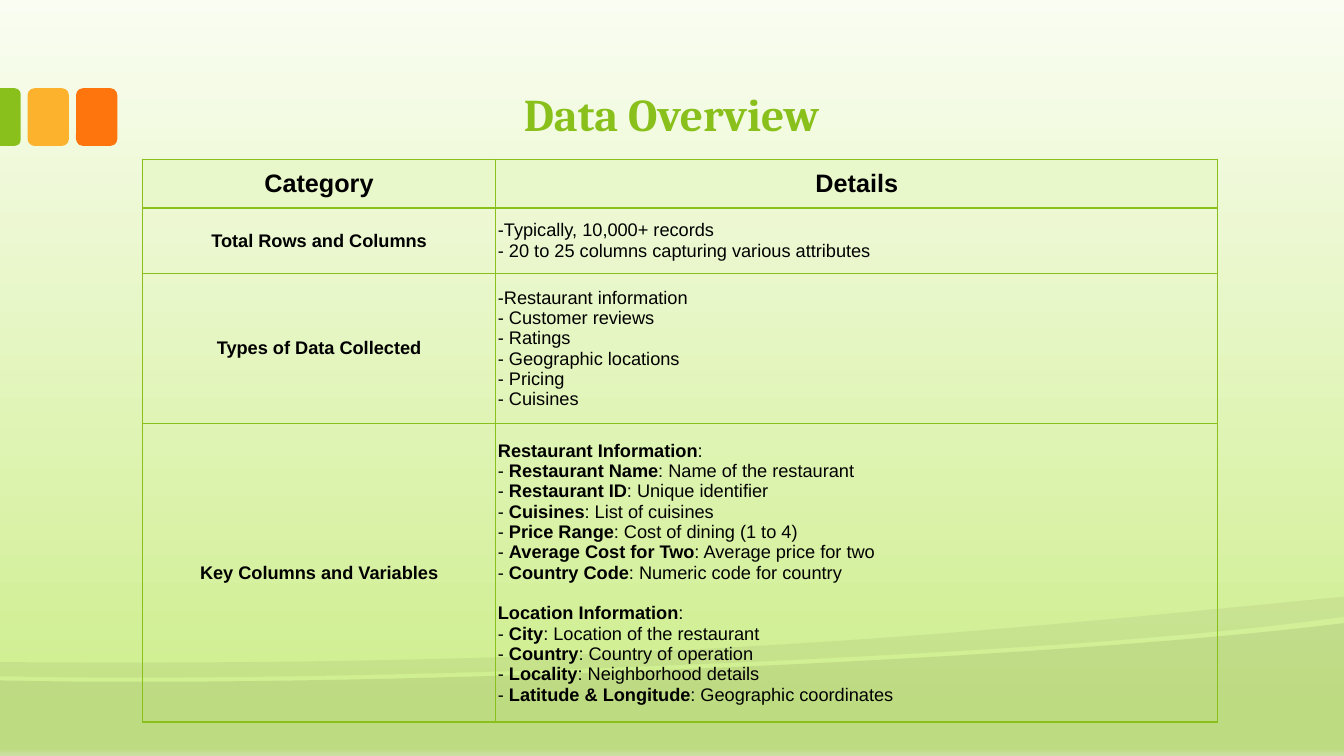
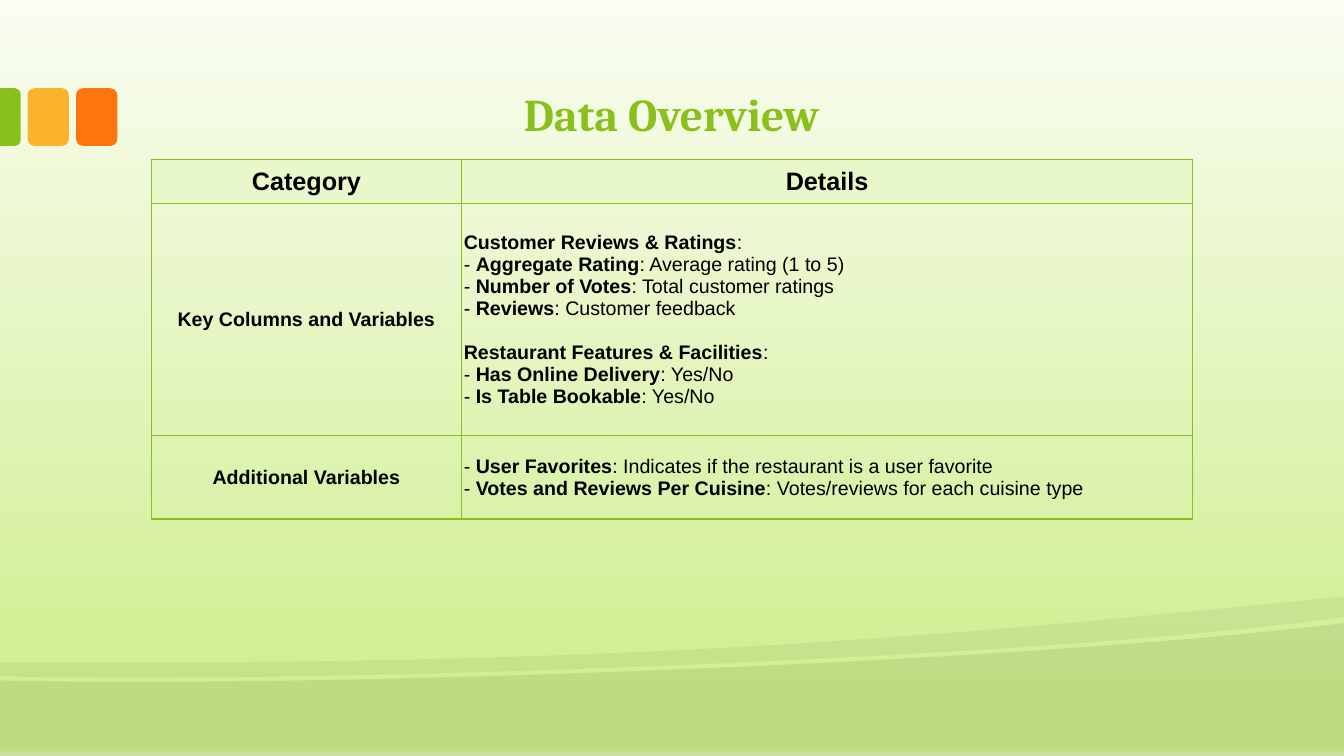
from copy import deepcopy
from dataclasses import dataclass

from lxml import etree
from pptx import Presentation
from pptx.dml.color import RGBColor
from pptx.enum.shapes import MSO_SHAPE
from pptx.enum.text import MSO_ANCHOR, PP_ALIGN
from pptx.oxml.ns import qn
from pptx.util import Pt

ROUND_RECT = MSO_SHAPE.ROUNDED_RECTANGLE
ROUND_TOP = MSO_SHAPE.ROUND_2_SAME_RECTANGLE
MIDDLE = MSO_ANCHOR.MIDDLE
LEFT, CENTER = PP_ALIGN.LEFT, PP_ALIGN.CENTER


@dataclass(frozen=True)
class Theme:
    green: str = "89C01C"
    amber: str = "FCB22C"
    orange: str = "FE750E"
    black: str = "000000"
    header_fill: str = "E9F8CA"
    sky: tuple = ((0, "FAFDF2"), (94, "CEEE8D"), (99, "CEEE8D"), (100, "DEF4B3"))
    title_font: str = "Cambria"
    body_font: str = "Arial"
    title_size: float = 32.4
    header_size: float = 18
    border: float = 1


THEME = Theme()
WIDTH, HEIGHT = 960, 540
TITLE = "Data Overview"
HEADER = ("Category", ["Details"])
TABLE_TOP = 113.8

# Text between asterisks is bold; a line that opens in bold starts a group.
TABLES = [
    {
        "left": 101.5, "columns": (252.7, 515.6), "size": 13,
        "heights": (34.8, 46.8, 107.3, 213),
        "rows": [
            ("Total Rows and Columns", [
                "-Typically, 10,000+ records",
                "- 20 to 25 columns capturing various attributes",
            ]),
            ("Types of Data Collected", [
                "-Restaurant information",
                "- Customer reviews",
                "- Ratings",
                "- Geographic locations",
                "- Pricing",
                "- Cuisines",
            ]),
            ("Key Columns and Variables", [
                "*Restaurant Information*:",
                "- *Restaurant Name*: Name of the restaurant",
                "- *Restaurant ID*: Unique identifier",
                "- *Cuisines*: List of cuisines",
                "- *Price Range*: Cost of dining (1 to 4)",
                "- *Average Cost for Two*: Average price for two",
                "- *Country Code*: Numeric code for country",
                "*Location Information*:",
                "- *City*: Location of the restaurant",
                "- *Country*: Country of operation",
                "- *Locality*: Neighborhood details",
                "- *Latitude & Longitude*: Geographic coordinates",
            ]),
        ],
    },
    {
        "left": 108, "columns": (221.8, 522), "size": 14,
        "heights": (31.6, 165.6, 59.8),
        "rows": [
            ("Key Columns and Variables", [
                "*Customer Reviews & Ratings*:",
                "- *Aggregate Rating*: Average rating (1 to 5)",
                "- *Number of Votes*: Total customer ratings",
                "- *Reviews*: Customer feedback",
                "*Restaurant Features & Facilities*:",
                "- *Has Online Delivery*: Yes/No",
                "- *Is Table Bookable*: Yes/No",
            ]),
            ("Additional Variables", [
                "- *User Favorites*: Indicates if the restaurant is a user favorite",
                "- *Votes and Reviews Per Cuisine*: Votes/reviews for each cuisine type",
            ]),
        ],
    },
]

# Outlines: one point draws a line, three points draw a Bezier curve.
HILL = [
    [(0, HEIGHT)], [(0, 486)],
    [(253.4, 491.8), (750.2, 471.6), (WIDTH, 445)],
    [(WIDTH, HEIGHT)],
]
RIDGE = [
    [(WIDTH, 426.2)], [(WIDTH, 440.6)],
    [(903.6, 448.6), (827.3, 455.8), (740.9, 461.5)],
    [(502.6, 477.4), (185.8, 487.4), (0, 483.1)],
    [(0, 473)],
    [(469.4, 476.6), (699.1, 451.4), (WIDTH, 426.2)],
]
WAVES = [(HILL, 8), (RIDGE, 5)]
CURVE_STEPS = 30

TAB_TOP, TAB_WIDTH, TAB_HEIGHT = 63, 29.5, 41.2
TAB_LEFT, TAB_PITCH, EDGE_WIDTH = 19.7, 34.6, 14.8


def rgb(color):
    return RGBColor.from_string(color)


def paint(shape, color):
    shape.shadow.inherit = False
    shape.fill.solid()
    shape.fill.fore_color.rgb = rgb(color)
    shape.line.fill.background()


def style_run(run, **formats):
    run.font.color.rgb = rgb(formats.pop("color"))
    for name, value in formats.items():
        setattr(run.font, name, value)


def set_background(master):
    fill = master.background.fill
    fill.gradient()
    fill.gradient_angle = 270
    stops = next(master.element.iter(qn("a:gsLst")))
    pattern = deepcopy(stops[0])
    for stop in list(stops):
        stops.remove(stop)
    for percent, color in THEME.sky:
        stop = deepcopy(pattern)
        stop.set("pos", str(percent * 1000))
        for old in list(stop):
            stop.remove(old)
        etree.SubElement(stop, qn("a:srgbClr"), val=color)
        stops.append(stop)


def trace(outline):
    """Turn an outline into plain points, sampling its curves."""
    points = []
    for segment in outline:
        if len(segment) == 1:
            points += segment
            continue
        controls = [points[-1], *segment]
        for step in range(1, CURVE_STEPS + 1):
            t = step / CURVE_STEPS
            weights = ((1 - t) ** 3, 3 * t * (1 - t) ** 2, 3 * t * t * (1 - t), t ** 3)
            points.append(tuple(
                sum(w * c[axis] for w, c in zip(weights, controls)) for axis in (0, 1)))
    return [(Pt(x), Pt(y)) for x, y in points]


def add_waves(slide):
    for outline, opacity in WAVES:
        first, *others = trace(outline)
        builder = slide.shapes.build_freeform(*first)
        builder.add_line_segments(others, close=True)
        wave = builder.convert_to_shape()
        paint(wave, THEME.black)
        color = next(wave.element.spPr.iter(qn("a:srgbClr")))
        etree.SubElement(color, qn("a:alpha"), val=str(opacity * 1000))


def add_tabs(slide):
    for index, color in enumerate((THEME.amber, THEME.orange)):
        tab = slide.shapes.add_shape(
            ROUND_RECT, Pt(TAB_LEFT + index * TAB_PITCH), Pt(TAB_TOP),
            Pt(TAB_WIDTH), Pt(TAB_HEIGHT))
        paint(tab, color)
    # Turned a quarter, so width and height swap around the same centre.
    shift = (TAB_HEIGHT - EDGE_WIDTH) / 2
    edge_tab = slide.shapes.add_shape(
        ROUND_TOP, Pt(-shift), Pt(TAB_TOP + shift), Pt(TAB_HEIGHT), Pt(EDGE_WIDTH))
    edge_tab.rotation = 90
    edge_tab.adjustments[0] = 0.29
    paint(edge_tab, THEME.green)


def add_title(slide):
    frame = slide.shapes.add_textbox(Pt(96), Pt(59.8), Pt(767.5), Pt(41.8)).text_frame
    frame.word_wrap = True
    frame.vertical_anchor = MIDDLE
    paragraph = frame.paragraphs[0]
    paragraph.alignment = CENTER
    run = paragraph.add_run()
    run.text = TITLE
    style_run(run, name=THEME.title_font, size=Pt(THEME.title_size), bold=True,
              color=THEME.green)


def add_borders(cell):
    properties = cell._tc.get_or_add_tcPr()
    for side in ("lnL", "lnR", "lnT", "lnB"):
        line = etree.SubElement(properties, qn(f"a:{side}"), w=str(Pt(THEME.border)))
        fill = etree.SubElement(line, qn("a:solidFill"))
        etree.SubElement(fill, qn("a:srgbClr"), val=THEME.green)


def fill_cell(cell, lines, size, alignment, color=None):
    add_borders(cell)
    if color:
        cell.fill.solid()
        cell.fill.fore_color.rgb = rgb(color)
    else:
        cell.fill.background()
    formats = {"vertical_anchor": MIDDLE, "margin_left": Pt(1.5), "margin_right": Pt(1.5),
               "margin_top": Pt(0.75), "margin_bottom": Pt(0.75)}
    for name, value in formats.items():
        setattr(cell, name, value)
    frame = cell.text_frame
    for index, line in enumerate(lines):
        paragraph = frame.add_paragraph() if index else frame.paragraphs[0]
        paragraph.alignment = alignment
        if index and line.startswith("*"):
            paragraph.space_before = Pt(round(size * 1.12, 2))
        for part, text in enumerate(line.split("*")):
            if text:
                run = paragraph.add_run()
                run.text = text
                style_run(run, name=THEME.body_font, size=Pt(size), bold=part % 2 == 1,
                          color=THEME.black)


def add_overview(slide, overview):
    rows = [HEADER, *overview["rows"]]
    columns, heights = overview["columns"], overview["heights"]
    table = slide.shapes.add_table(
        len(rows), len(columns), Pt(overview["left"]), Pt(TABLE_TOP),
        Pt(sum(columns)), Pt(sum(heights))).table
    table.first_row = table.horz_banding = False
    for column, width in zip(table.columns, columns):
        column.width = Pt(width)
    for index, (category, details) in enumerate(rows):
        table.rows[index].height = Pt(heights[index])
        category_cell, details_cell = table.rows[index].cells
        heading = [f"*{category}*"]
        if index == 0:
            look = (THEME.header_size, CENTER, THEME.header_fill)
            fill_cell(category_cell, heading, *look)
            fill_cell(details_cell, [f"*{text}*" for text in details], *look)
        else:
            fill_cell(category_cell, heading, overview["size"], CENTER)
            fill_cell(details_cell, details, overview["size"], LEFT)


def main():
    prs = Presentation()
    prs.slide_width, prs.slide_height = Pt(WIDTH), Pt(HEIGHT)
    set_background(prs.slide_master)
    for overview in TABLES:
        slide = prs.slides.add_slide(prs.slide_layouts[6])
        add_waves(slide)
        add_tabs(slide)
        add_title(slide)
        add_overview(slide, overview)
    prs.save("out.pptx")


if __name__ == "__main__":
    main()
